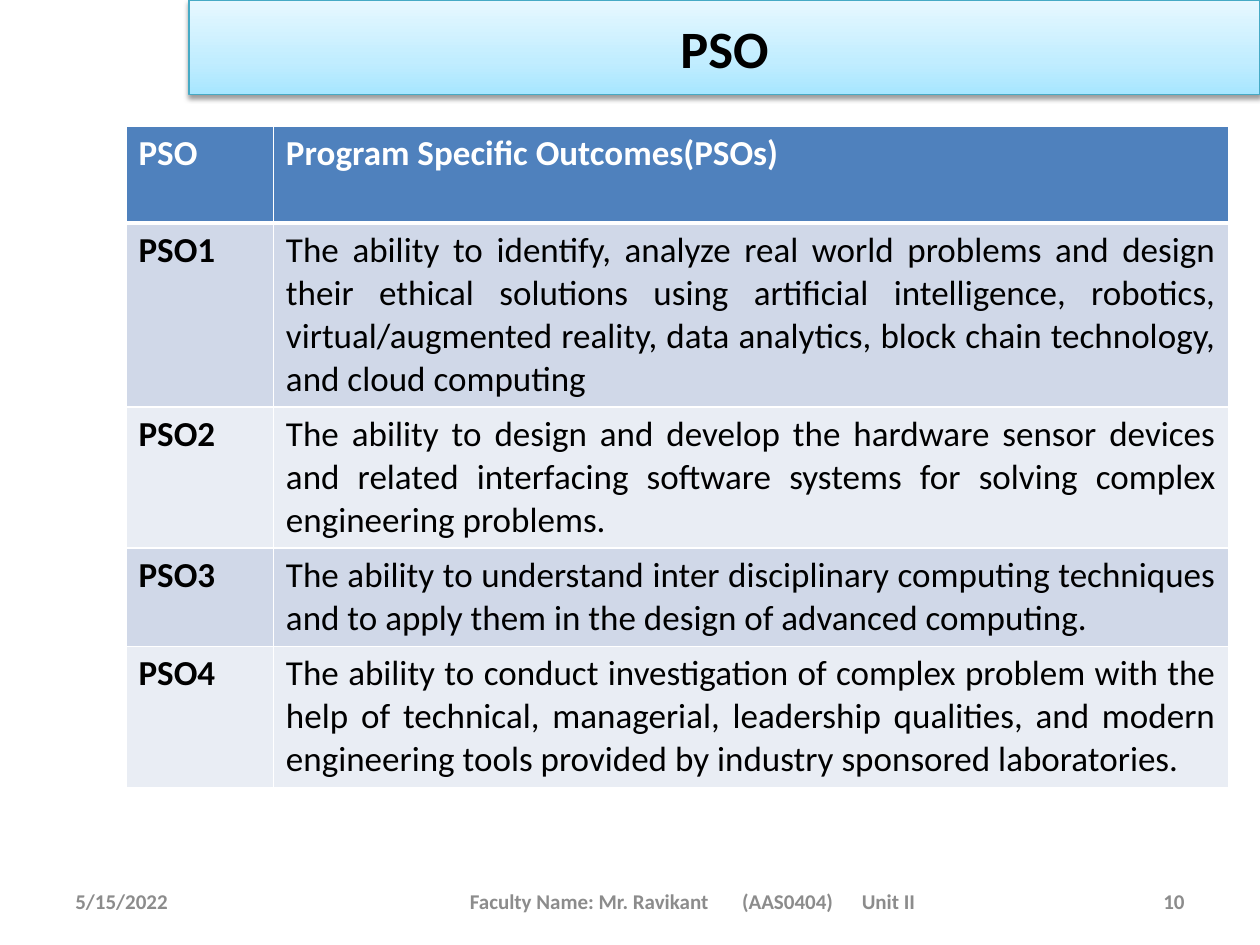
"""Build the PSO slide: title banner, outcomes table and footer."""
from pptx import Presentation
from pptx.dml.color import RGBColor as RGB
from pptx.enum.shapes import MSO_SHAPE as SHAPE
from pptx.enum.text import MSO_ANCHOR as ANCHOR, PP_ALIGN as ALIGN
from pptx.oxml import parse_xml
from pptx.oxml.ns import nsdecls
from pptx.util import Inches, Pt

COLORS = {
    "black": "000000", "white": "FFFFFF", "footer": "8C8C8C",
    "banner_line": "46AAC5", "banner_low": "A7E6FF",
    "banner_mid": "C1EDFF", "banner_high": "E7F8FF",
    "header": "4F81BD", "odd": "D0D8E8", "even": "E9EDF4",
}
ROWS = [
    ("PSO", "Program Specific Outcomes(PSOs)", 0.77),
    ("PSO1", "The ability to identify, analyze real world problems and design "
     "their ethical solutions using artificial intelligence, robotics, "
     "virtual/augmented reality, data analytics, block chain technology, "
     "and cloud computing", 1.46),
    ("PSO2", "The ability to design and develop the hardware sensor devices "
     "and related interfacing software systems for solving complex "
     "engineering problems.", 1.12),
    ("PSO3", "The ability to understand inter disciplinary computing techniques "
     "and to apply them in the design of advanced computing.", 0.78),
    ("PSO4", "The ability to conduct investigation of complex problem with the "
     "help of technical, managerial, leadership qualities, and modern "
     "engineering tools provided by industry sponsored laboratories.", 1.12),
]
FOOTERS = [
    ("5/15/2022", 0.5, 2.33, ALIGN.LEFT),
    ("Faculty Name: Mr. Ravikant\t(AAS0404)\tUnit II", 2.75, 5.5, ALIGN.LEFT),
    ("10", 7.17, 2.33, ALIGN.RIGHT),
]


def add_run(p, text, size, color, bold=True, align=ALIGN.LEFT):
    p.alignment = align
    r = p.add_run()
    r.text = text
    r.font.name = "Calibri"
    r.font.size = Pt(size)
    r.font.bold = bold
    r.font.color.rgb = RGB.from_string(COLORS[color])


def add_border(cell, side, width):
    cell._tc.get_or_add_tcPr().append(parse_xml(
        f'<a:{side} {nsdecls("a")} w="{Pt(width)}"><a:solidFill>'
        f'<a:srgbClr val="{COLORS["white"]}"/></a:solidFill></a:{side}>'))


prs = Presentation()
prs.slide_width = Inches(10)
prs.slide_height = Inches(7.5)
s = prs.slides.add_slide(prs.slide_layouts[6])

for text, left, width, align in FOOTERS:
    tf = s.shapes.add_textbox(
        Inches(left), Inches(6.95), Inches(width), Inches(0.4)).text_frame
    tf.word_wrap = True
    tf.vertical_anchor = ANCHOR.MIDDLE
    p = tf.paragraphs[0]
    if "\t" in text:
        tf.margin_left = Inches(0.98)
        tabs = "".join(f'<a:tab pos="{Inches(pos)}" algn="l"/>' for pos in (2.16, 3.11))
        p._p.get_or_add_pPr().append(
            parse_xml(f'<a:tabLst {nsdecls("a")}>{tabs}</a:tabLst>'))
    add_run(p, text, 12, "footer", align=align)

banner = s.shapes.add_shape(
    SHAPE.RECTANGLE, Inches(1.5), Inches(0), Inches(8.5), Inches(0.75))
banner.line.color.rgb = RGB.from_string(COLORS["banner_line"])
banner.line.width = Pt(0.75)
banner.shadow.inherit = False
stops = "".join(
    f'<a:gs pos="{pos}000"><a:srgbClr val="{COLORS[name]}"/></a:gs>'
    for pos, name in ((0, "banner_low"), (35, "banner_mid"), (100, "banner_high")))
spPr = banner._element.spPr
spPr.insert(2, parse_xml(
    f'<a:gradFill {nsdecls("a")} rotWithShape="1"><a:gsLst>{stops}</a:gsLst>'
    '<a:lin ang="16200000" scaled="0"/></a:gradFill>'))
spPr[-1].append(parse_xml(
    f'<a:outerShdw {nsdecls("a")} blurRad="{Pt(3.1)}" dist="{Pt(1.6)}" '
    f'dir="5400000" rotWithShape="0"><a:srgbClr val="{COLORS["black"]}">'
    '<a:alpha val="38000"/></a:srgbClr></a:outerShdw>'))
tf = banner.text_frame
tf.vertical_anchor = ANCHOR.MIDDLE
add_run(tf.paragraphs[0], "PSO", 30, "black", align=ALIGN.CENTER)

table = s.shapes.add_table(
    len(ROWS), 2, Inches(1), Inches(1), Inches(8.75), Inches(5.25)).table
table.columns[0].width = Inches(1.17)
table.columns[1].width = Inches(7.58)
for i, (code, outcome, height) in enumerate(ROWS):
    table.rows[i].height = Inches(height)
    fill = "header" if i == 0 else "odd" if i % 2 else "even"
    color = "white" if i == 0 else "black"
    for j, text in enumerate((code, outcome)):
        cell = table.cell(i, j)
        borders = {"lnL": 1, "lnR": 1, "lnT": 3 if i == 1 else 1, "lnB": 3 if i == 0 else 1}
        for side, width in borders.items():
            add_border(cell, side, width)
        cell.fill.solid()
        cell.fill.fore_color.rgb = RGB.from_string(COLORS[fill])
        body = i > 0 and j == 1
        add_run(cell.text_frame.paragraphs[0], text, 20, color, not body,
                ALIGN.JUSTIFY if body else ALIGN.LEFT)

prs.save("out.pptx")
